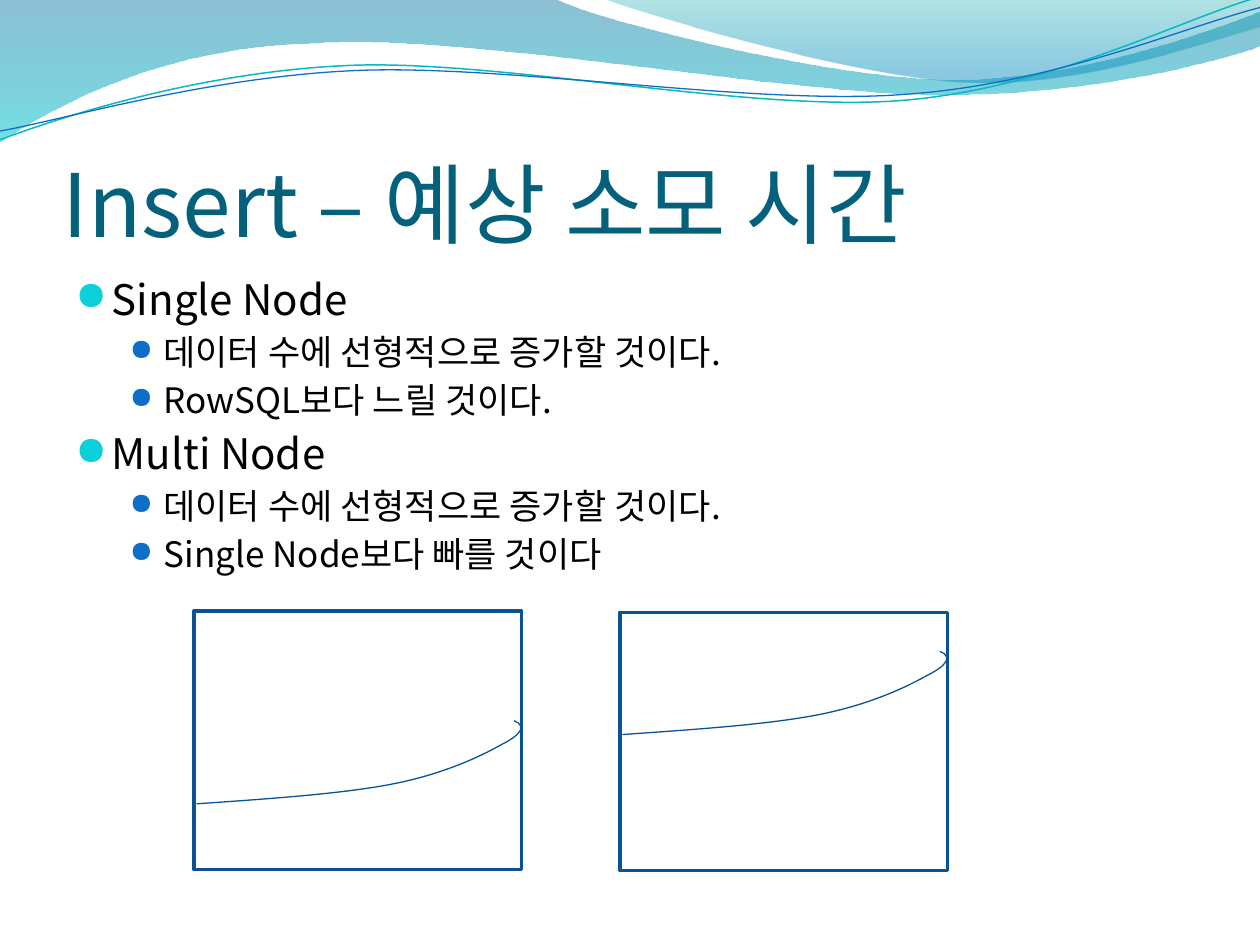
from dataclasses import dataclass

from lxml import etree
from pptx import Presentation
from pptx.dml.color import RGBColor
from pptx.enum.shapes import MSO_SHAPE
from pptx.enum.text import MSO_ANCHOR
from pptx.oxml.ns import qn
from pptx.util import Inches, Pt

RECTANGLE = MSO_SHAPE.RECTANGLE
ANCHOR_BOTTOM = MSO_ANCHOR.BOTTOM
FONT = "Noto Sans CJK KR"
BULLET_FONT = "OpenSymbol"
BLANK_LAYOUT = 6
COLORS = {
    "title": "04617B", "text": "000000", "white": "FFFFFF",
    "bullet_main": "0BD0D9", "bullet_sub": "0F6FC6",
    "wave_top": "0074A1", "wave_bottom": "00C6CF",
    "corner_top": "00A1A9", "corner_bottom": "008BBF",
    "teal_line": "0AB8BF", "blue_line": "0F6FC6",
    "frame": "0B5292", "graph": "095295",
}


@dataclass
class GradientStop:
    position: float
    color: str
    opacity: int


@dataclass
class Wave:
    """A start point, then line ends (2 numbers) or cubic curves (6 numbers)."""
    start: tuple
    segments: list
    gradient: tuple = ()
    line: str = ""
    width: float = 0.75


@dataclass
class BulletLevel:
    size: int
    indent: float
    hanging: float
    bullet_color: str
    bullet_percent: int


@dataclass
class Graph:
    left: float
    top: float
    curve_left: float
    curve_top: float


WAVES = [
    Wave((0, 0), [(4.4, -0.01), (4.76, 0.17, 6.64, 0.63, 7.58, 0.63),
                  (8.53, 0.63, 9.58, 0.26, 10, 0.09), (10.01, 0.36),
                  (9.83, 0.44, 8.7, 0.76, 7.46, 0.75),
                  (6.22, 0.75, 3.82, 0.28, 2.57, 0.34),
                  (1.29, 0.36, 0.46, 0.83, -0.01, 1.13)],
         gradient=(GradientStop(0, "wave_top", 45), GradientStop(1, "wave_bottom", 55))),
    Wave((4.79, -0.01), [(5.09, 0.11, 6.82, 0.62, 7.69, 0.65),
                         (8.56, 0.69, 9.61, 0.32, 10, 0.21), (10, 0)],
         gradient=(GradientStop(0, "corner_top", 30), GradientStop(0.8, "corner_bottom", 45))),
    Wave((0, 1.11), [(0.48, 0.93, 1.58, 0.57, 2.77, 0.52),
                     (3.95, 0.47, 5.93, 0.89, 7.13, 0.8),
                     (8.33, 0.71, 9.38, 0.15, 9.98, -0.02)],
         line="teal_line", width=0.85),
    Wave((0, 1.04), [(0.47, 0.96, 1.64, 0.61, 2.83, 0.56),
                     (4.03, 0.51, 5.97, 0.84, 7.17, 0.75),
                     (8.36, 0.67, 9.41, 0.21, 10, 0.06)],
         line="blue_line"),
]
LEVELS = [BulletLevel(24, 0.29, 0.29, "bullet_main", 95),
          BulletLevel(20, 0.7, 0.27, "bullet_sub", 85)]
BODY = [
    (0, "Single Node"),
    (1, "데이터 수에 선형적으로 증가할 것이다."),
    (1, "RowSQL보다 느릴 것이다."),
    (0, "Multi Node"),
    (1, "데이터 수에 선형적으로 증가할 것이다."),
    (1, "Single Node보다 빠를 것이다"),
]
GRAPHS = [Graph(1.54, 4.85, 1.56, 5.72), Graph(4.92, 4.86, 4.94, 5.17)]
# Growth curve, relative to its own top left corner
GROWTH_START = (0, 0.66)
GROWTH_SEGMENTS = [(0.58, 0.62, 1.17, 0.58, 1.57, 0.5),
                   (1.97, 0.42, 2.26, 0.28, 2.42, 0.19),
                   (2.58, 0.11, 2.62, 0.04, 2.52, 0)]


def rgb(name: str) -> RGBColor:
    return RGBColor.from_string(COLORS[name])


def bend_lines(shape, segments: list) -> None:
    """Join each three lines that stand for a cubic curve into one curve."""
    lines = iter(list(shape._element.iter(qn("a:lnTo"))))
    for segment in segments:
        first = next(lines)
        if len(segment) == 6:
            curve = etree.Element(qn("a:cubicBezTo"))
            first.addprevious(curve)
            for line in (first, next(lines), next(lines)):
                curve.append(line[0])
                line.getparent().remove(line)


def fill_gradient(shape, stops: tuple) -> None:
    shape.fill.gradient()
    shape.fill.gradient_angle = 270
    for gradient_stop, stop in zip(shape.fill.gradient_stops, stops):
        gradient_stop.position = stop.position
        gradient_stop.color.rgb = rgb(stop.color)
    colors = shape._element.spPr.iter(qn("a:srgbClr"))
    for color, stop in zip(colors, stops):
        etree.SubElement(color, qn("a:alpha"), val=str(stop.opacity * 1000))


def draw_wave(slide, wave: Wave, left: float = 0, top: float = 0) -> None:
    points = [(Inches(left + segment[i]), Inches(top + segment[i + 1]))
              for segment in [wave.start, *wave.segments]
              for i in range(0, len(segment), 2)]
    builder = slide.shapes.build_freeform(*points[0])
    builder.add_line_segments(points[1:], close=bool(wave.gradient))
    shape = builder.convert_to_shape()
    bend_lines(shape, wave.segments)
    shape.shadow.inherit = False
    if wave.gradient:
        fill_gradient(shape, wave.gradient)
        shape.line.fill.background()
    else:
        shape.fill.background()
        shape.line.color.rgb = rgb(wave.line)
        shape.line.width = Pt(wave.width)


def draw_graph(slide, graph: Graph) -> None:
    frame = slide.shapes.add_shape(RECTANGLE, Inches(graph.left), Inches(graph.top),
                                   Inches(2.6), Inches(2.05))
    frame.shadow.inherit = False
    frame.fill.solid()
    frame.fill.fore_color.rgb = rgb("white")
    frame.line.color.rgb = rgb("frame")
    frame.line.width = Pt(2)
    draw_wave(slide, Wave(GROWTH_START, GROWTH_SEGMENTS, line="graph"),
              graph.curve_left, graph.curve_top)


def style_text(paragraph, size: int, color: str) -> None:
    for run in paragraph.runs:
        run.font.size = Pt(size)
        run.font.name = FONT
        run.font.color.rgb = rgb(color)


def add_bullet(paragraph, level: BulletLevel) -> None:
    properties = paragraph._p.get_or_add_pPr()
    properties.set("marL", str(Inches(level.indent)))
    properties.set("indent", str(-Inches(level.hanging)))
    color = etree.SubElement(properties, qn("a:buClr"))
    etree.SubElement(color, qn("a:srgbClr"), val=COLORS[level.bullet_color])
    etree.SubElement(properties, qn("a:buSzPct"), val=str(level.bullet_percent * 1000))
    etree.SubElement(properties, qn("a:buFont"), typeface=BULLET_FONT)
    etree.SubElement(properties, qn("a:buChar"), char="●")


def add_title(slide) -> None:
    text_frame = slide.shapes.add_textbox(Inches(0.5), Inches(0.77),
                                          Inches(9), Inches(1.25)).text_frame
    text_frame.word_wrap = True
    text_frame.vertical_anchor = ANCHOR_BOTTOM
    text_frame.margin_left = text_frame.margin_right = text_frame.margin_bottom = 0
    text_frame.text = "Insert – 예상 소모 시간"
    style_text(text_frame.paragraphs[0], 50, "title")


def add_body(slide) -> None:
    text_frame = slide.shapes.add_textbox(Inches(0.5), Inches(2.12),
                                          Inches(9), Inches(4.8)).text_frame
    text_frame.word_wrap = True
    text_frame.text = "\n".join(text for _, text in BODY)
    for paragraph, (depth, _) in zip(text_frame.paragraphs, BODY):
        level = LEVELS[depth]
        paragraph.level = depth
        paragraph.space_before = Pt(0.18 * level.size)
        style_text(paragraph, level.size, "text")
        add_bullet(paragraph, level)


def main() -> None:
    presentation = Presentation()
    presentation.slide_width, presentation.slide_height = Inches(10), Inches(7.5)
    slide = presentation.slides.add_slide(presentation.slide_layouts[BLANK_LAYOUT])
    for wave in WAVES:
        draw_wave(slide, wave)
    add_title(slide)
    add_body(slide)
    for graph in GRAPHS:
        draw_graph(slide, graph)
    presentation.save("out.pptx")


if __name__ == "__main__":
    main()
